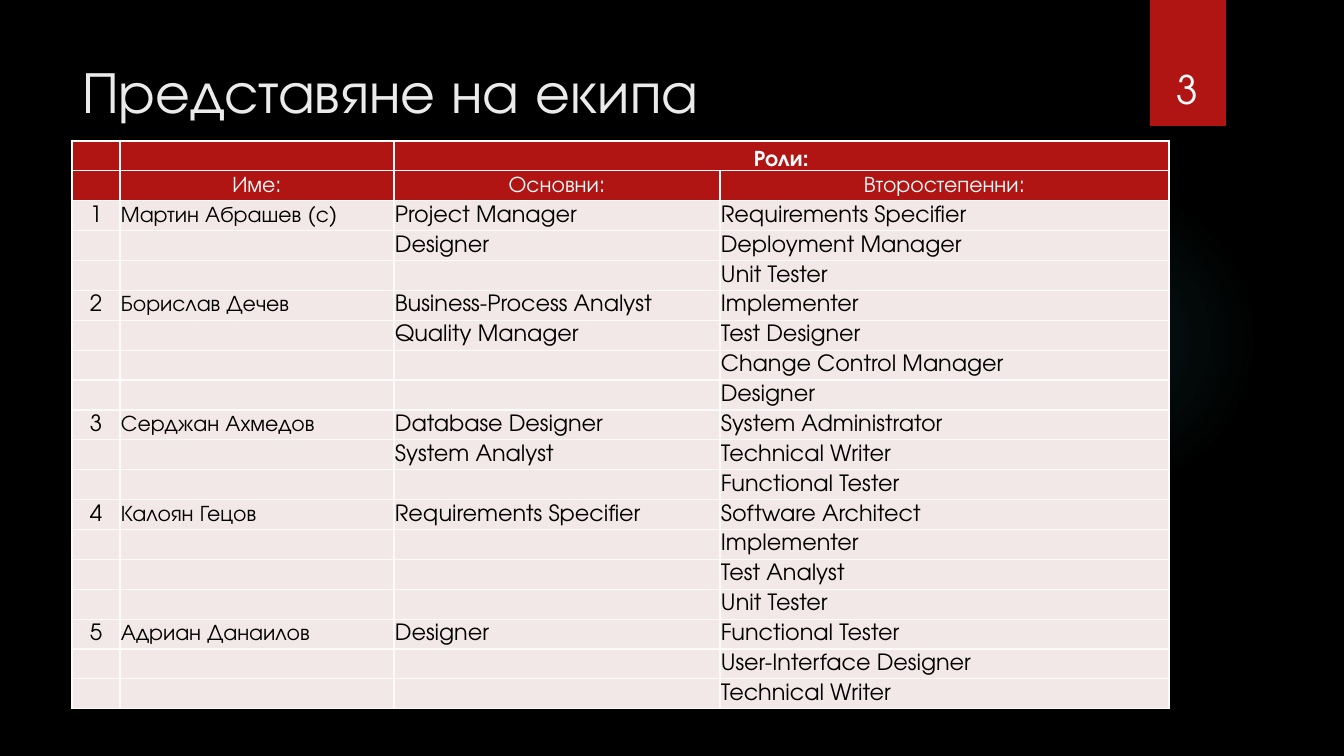
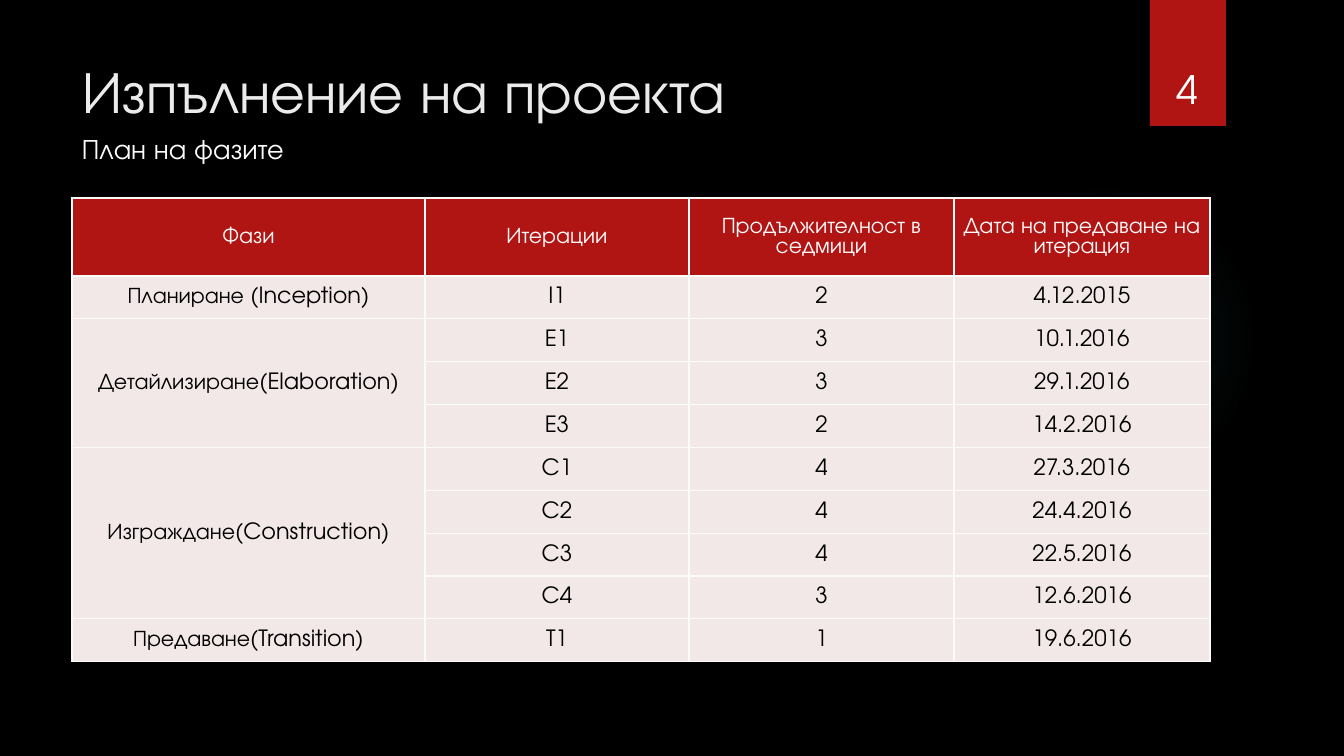
from itertools import zip_longest

from lxml import etree
from pptx import Presentation
from pptx.dml.color import RGBColor
from pptx.enum.shapes import MSO_SHAPE
from pptx.enum.text import MSO_ANCHOR, MSO_AUTO_SIZE, PP_ALIGN
from pptx.oxml import parse_xml
from pptx.oxml.ns import nsdecls, qn
from pptx.util import Pt

RECTANGLE, OVAL = MSO_SHAPE.RECTANGLE, MSO_SHAPE.OVAL
TOP, MIDDLE, BOTTOM = MSO_ANCHOR.TOP, MSO_ANCHOR.MIDDLE, MSO_ANCHOR.BOTTOM
LEFT, CENTER = PP_ALIGN.LEFT, PP_ALIGN.CENTER
NO_AUTOFIT = MSO_AUTO_SIZE.NONE

BLACK = RGBColor(0x00, 0x00, 0x00)
RED = RGBColor(0xB0, 0x15, 0x13)
PALE_PINK = RGBColor(0xF2, 0xE8, 0xE7)
TITLE_GRAY = RGBColor(0xEB, 0xEB, 0xEB)
WHITE = RGBColor(0xFB, 0xFB, 0xFB)
NUMBER_WHITE = RGBColor(0xFC, 0xFC, 0xFC)
TEAL = RGBColor(0x50, 0xB9, 0xC1)

FONT = "TeX Gyre Adventor"
CELL_SIZE = 16
CELL_MARGIN = 1
TABLE_LEFT = 72
TITLE_ONLY_LAYOUT = 5

TEAM = [
    ("Мартин Абрашев (с)",
     ["Project Manager", "Designer"],
     ["Requirements Specifier", "Deployment Manager", "Unit Tester"]),
    ("Борислав Дечев",
     ["Business-Process Analyst", "Quality Manager"],
     ["Implementer", "Test Designer", "Change Control Manager", "Designer"]),
    ("Серджан Ахмедов",
     ["Database Designer", "System Analyst"],
     ["System Administrator", "Technical Writer", "Functional Tester"]),
    ("Калоян Гецов",
     ["Requirements Specifier"],
     ["Software Architect", "Implementer", "Test Analyst", "Unit Tester"]),
    ("Адриан Данаилов",
     ["Designer"],
     ["Functional Tester", "User-Interface Designer", "Technical Writer"]),
]

PHASE_HEADER = ("Фази", "Итерации", "Продължителност в седмици",
                "Дата на предаване на итерация")
PHASES = [
    ("Планиране (Inception)", [("I1", "2", "4.12.2015")]),
    ("Детайлизиране(Elaboration)", [
        ("E1", "3", "10.1.2016"), ("E2", "3", "29.1.2016"), ("E3", "2", "14.2.2016")]),
    ("Изграждане(Construction)", [
        ("C1", "4", "27.3.2016"), ("C2", "4", "24.4.2016"),
        ("C3", "4", "22.5.2016"), ("C4", "3", "12.6.2016")]),
    ("Предаване(Transition)", [("T1", "1", "19.6.2016")]),
]


def px(length):
    """Turn slide pixels (100.8 to the inch) into EMU."""
    return round(length * 914400 / 100.8)


def write_text(text_frame, text, size, color, bold=False, align=LEFT):
    paragraph = text_frame.paragraphs[0]
    paragraph.alignment = align
    if not text:
        # The end mark keeps an empty cell from growing to the default size.
        etree.SubElement(paragraph._p, qn("a:endParaRPr"), sz=str(size * 100))
        return
    run = paragraph.add_run()
    run.text = text
    run.font.name = FONT
    run.font.size = Pt(size)
    run.font.bold = bold
    run.font.color.rgb = color


def add_text_box(slide, box, text, size, color, align=LEFT, anchor=TOP):
    text_frame = slide.shapes.add_textbox(*map(px, box)).text_frame
    text_frame.word_wrap = True
    text_frame.vertical_anchor = anchor
    write_text(text_frame, text, size, color, align=align)


def add_layout_shape(layout, slide, kind, box):
    """Make a plain shape and move it from the slide to its layout."""
    shape = slide.shapes.add_shape(kind, *map(px, box))
    shape.shadow.inherit = False
    shape.line.fill.background()
    new_id = max(other.shape_id for other in layout.shapes) + 1
    shape.element.nvSpPr.cNvPr.set("id", str(new_id))
    layout.shapes.element.append(shape.element)
    return shape


def fill_with_glow(shape, color, stops):
    """Fill with a round gradient; stops are (position, opacity) in percent."""
    stop_xml = "".join(
        f'<a:gs pos="{position * 1000}"><a:srgbClr val="{color}">'
        f'<a:alpha val="{opacity * 1000}"/></a:srgbClr></a:gs>'
        for position, opacity in stops)
    gradient = parse_xml(
        f'<a:gradFill {nsdecls("a")}><a:gsLst>{stop_xml}</a:gsLst><a:path path="circle">'
        '<a:fillToRect l="50000" t="50000" r="50000" b="50000"/></a:path></a:gradFill>')
    shape.fill.background()
    properties = shape.element.spPr
    properties.replace(properties.find(qn("a:noFill")), gradient)


def style_layout(layout):
    layout.background.fill.solid()
    layout.background.fill.fore_color.rgb = BLACK
    title = layout.placeholders[0]
    title.left, title.top, title.width, title.height = map(px, (72, 50, 1037, 154))
    title.text_frame.vertical_anchor = TOP
    title.text_frame.auto_size = NO_AUTOFIT


def decorate_layout(layout, slide):
    glow = add_layout_shape(layout, slide, OVAL, (949, 184, 310, 310))
    fill_with_glow(glow, TEAL, [(0, 7), (36, 6), (69, 0)])
    band = add_layout_shape(layout, slide, RECTANGLE, (1150, 0, 76, 126))
    band.fill.solid()
    band.fill.fore_color.rgb = RED


def add_slide(presentation, layout, title, number):
    slide = presentation.slides.add_slide(layout)
    write_text(slide.shapes.title.text_frame, title, 42, TITLE_GRAY)
    add_text_box(slide, (1141, 32, 93, 85), number, 28, NUMBER_WHITE,
                 align=CENTER, anchor=BOTTOM)
    return slide


def set_borders(cell, color):
    properties = cell._tc.get_or_add_tcPr()
    for index, side in enumerate(("lnL", "lnR", "lnT", "lnB")):
        properties.insert(index, parse_xml(
            f'<a:{side} {nsdecls("a")} w="{Pt(1)}"><a:solidFill>'
            f'<a:srgbClr val="{color}"/></a:solidFill></a:{side}>'))


def format_cell(cell, text, header, align, bold=False, anchor=MIDDLE):
    cell.margin_left = cell.margin_right = cell.margin_top = px(CELL_MARGIN)
    cell.margin_bottom = 0
    cell.vertical_anchor = anchor
    cell.fill.solid()
    cell.fill.fore_color.rgb = RED if header else PALE_PINK
    set_borders(cell, WHITE)
    write_text(cell.text_frame, text, CELL_SIZE, WHITE if header else BLACK, bold, align)


def add_grid(slide, top, height, column_widths, row_count):
    frame = slide.shapes.add_table(
        row_count, len(column_widths),
        *map(px, (TABLE_LEFT, top, sum(column_widths), height)))
    table = frame.table
    table.first_row = table.horz_banding = False
    for column, width in zip(table.columns, column_widths):
        column.width = px(width)
    return table


def add_team_table(slide):
    rows = [("", "", "Роли:", ""), ("", "Име:", "Основни:", "Второстепенни:")]
    for number, (name, main_roles, other_roles) in enumerate(TEAM, 1):
        rows += zip_longest([str(number)], [name], main_roles, other_roles, fillvalue="")

    table = add_grid(slide, 141, 568, (48, 274, 326, 449), len(rows))
    for row_index, row in enumerate(rows):
        header, first = row_index < 2, row_index == 0
        for column_index, text in enumerate(row):
            format_cell(table.cell(row_index, column_index), text, header,
                        CENTER if header or column_index == 0 else LEFT,
                        bold=first, anchor=BOTTOM if first else MIDDLE)
    table.cell(0, 2).merge(table.cell(0, 3))


def add_phase_table(slide):
    height, header_height = 464, 78
    rows, spans = [PHASE_HEADER], []
    for phase, iterations in PHASES:
        spans.append((len(rows), len(rows) + len(iterations) - 1))
        rows += [(phase if index == 0 else "", *iteration)
                 for index, iteration in enumerate(iterations)]

    table = add_grid(slide, 198, height, (353, 264, 265, 256), len(rows))
    for row_index, row in enumerate(rows):
        header = row_index == 0
        table.rows[row_index].height = px(
            header_height if header else (height - header_height) / (len(rows) - 1))
        for column_index, text in enumerate(row):
            format_cell(table.cell(row_index, column_index), text, header, CENTER)
    for first, last in spans:
        if last > first:
            table.cell(first, 0).merge(table.cell(last, 0))


def main():
    presentation = Presentation()
    presentation.slide_width, presentation.slide_height = px(1344), px(756)
    layout = presentation.slide_layouts[TITLE_ONLY_LAYOUT]
    style_layout(layout)

    team_slide = add_slide(presentation, layout, "Представяне на екипа", "3")
    decorate_layout(layout, team_slide)
    add_team_table(team_slide)

    phase_slide = add_slide(presentation, layout, "Изпълнение на проекта", "4")
    add_text_box(phase_slide, (72, 127, 574, 44), "План на фазите", 20, WHITE)
    add_phase_table(phase_slide)

    presentation.save("out.pptx")


if __name__ == "__main__":
    main()
